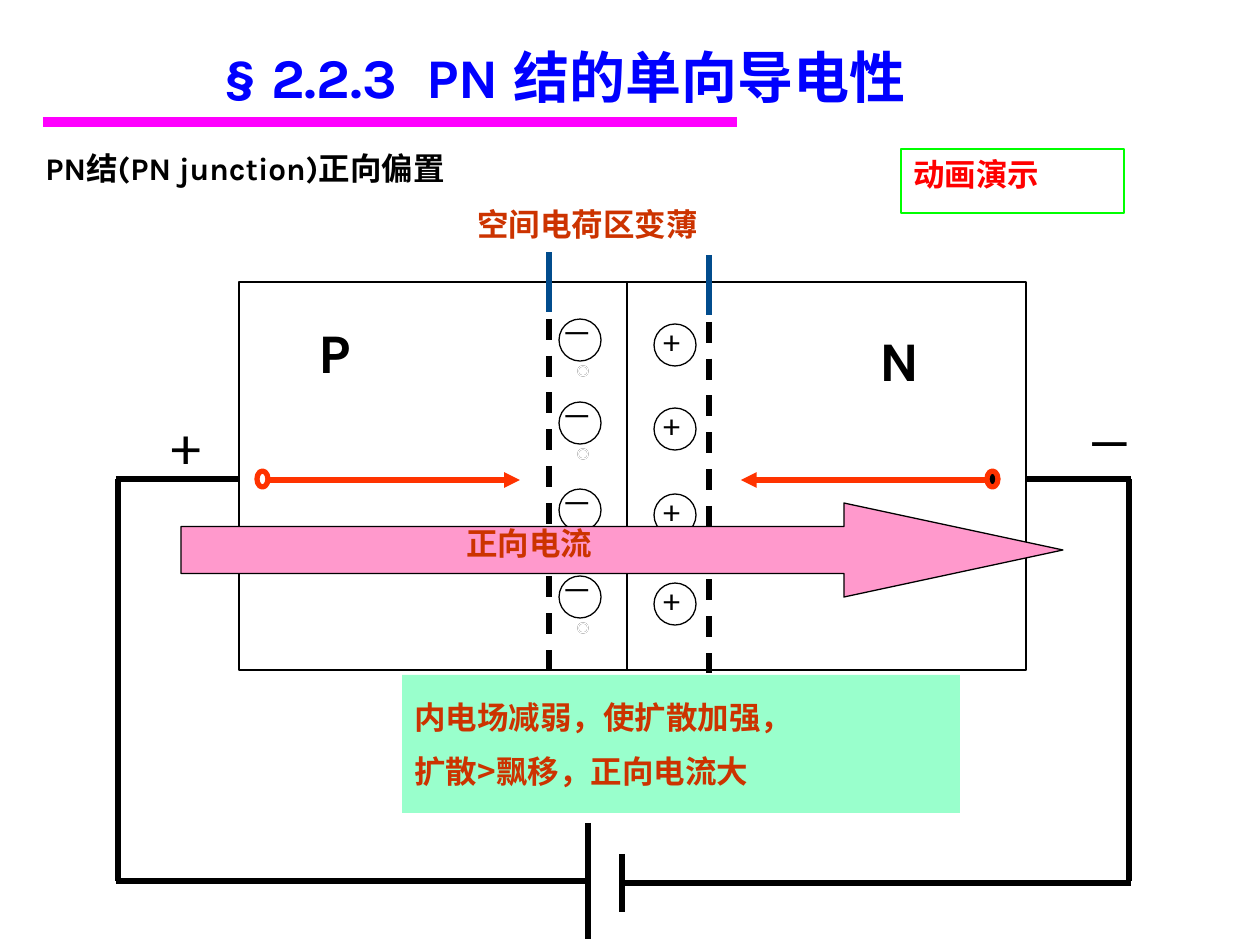
from lxml import etree
from pptx import Presentation
from pptx import util as u
from pptx.dml.color import RGBColor
from pptx.enum import dml, shapes, text
from pptx.oxml.ns import qn

COLORS = {
    "black": "000000", "white": "FFFFFF", "blue": "0000FF",
    "magenta": "FF00FF", "brick": "CC3300", "orange": "FF3300",
    "navy": "014C8D", "mint": "99FFCC", "pink": "FF99CC",
    "green": "00FF00", "red": "FF0000",
}
KARLA, CJK = "Karla", "Noto Sans CJK SC"
SHAPE = shapes.MSO_SHAPE
MIDDLE = text.MSO_ANCHOR.MIDDLE


def px(n):
    return u.Emu(round(n * 914400 / 126))


def rgb(name):
    return RGBColor.from_string(COLORS[name])


class Board:
    def __init__(self, slide):
        self.s = slide

    def shape(self, kind, box, fill=None, line=None, width=0.75):
        sp = self.s.shapes.add_shape(kind, *map(px, box))
        sp.shadow.inherit = False
        if fill:
            sp.fill.solid()
            sp.fill.fore_color.rgb = rgb(fill)
        else:
            sp.fill.background()
        if line:
            sp.line.color.rgb = rgb(line)
            sp.line.width = u.Pt(width)
        else:
            sp.line.fill.background()
        return sp

    def line(self, x1, y1, x2, y2, color="black", width=3, dash=False, arrow=False):
        c = self.s.shapes.add_connector(
            shapes.MSO_CONNECTOR.STRAIGHT, px(x1), px(y1), px(x2), px(y2))
        c.line.color.rgb = rgb(color)
        c.line.width = u.Pt(width)
        if dash:
            c.line.dash_style = dml.MSO_LINE.DASH
        if arrow:
            etree.SubElement(c.line._get_or_add_ln(), qn("a:tailEnd"), type="triangle")
        etree.SubElement(c._element.spPr, qn("a:effectLst"))
        return c

    def fill_text(self, sp, paragraphs, size=18, color="black", bold=True,
                  anchor=text.MSO_ANCHOR.TOP, align=text.PP_ALIGN.LEFT, before=50):
        tf = sp.text_frame
        tf.word_wrap = True
        tf.vertical_anchor = anchor
        for i, runs in enumerate(paragraphs):
            p = tf.add_paragraph() if i else tf.paragraphs[0]
            p.alignment = align
            if before:
                gap = etree.SubElement(p._p.get_or_add_pPr(), qn("a:spcBef"))
                etree.SubElement(gap, qn("a:spcPct"), val=str(before * 1000))
            for words, font in runs:
                r = p.add_run()
                r.text = words
                r.font.name = font
                r.font.size = u.Pt(size)
                r.font.bold = bold
                r.font.color.rgb = rgb(color)
                etree.SubElement(r._r.get_or_add_rPr(), qn("a:ea"), typeface=CJK)

    def label(self, box, runs, **style):
        sp = self.s.shapes.add_textbox(*map(px, box))
        self.fill_text(sp, [runs], **style)


def main():
    prs = Presentation()
    prs.slide_width, prs.slide_height = u.Inches(10), u.Inches(7.5)
    b = Board(prs.slides.add_slide(prs.slide_layouts[6]))

    b.label((29, 0, 1071, 152), [("§ 2.2.3  PN 结的单向导电性", KARLA)], size=32,
            color="blue", anchor=MIDDLE, align=text.PP_ALIGN.CENTER, before=0)
    b.line(43, 122, 737, 122, "magenta", 6)
    b.label((33, 136, 645, 63),
            [("PN", KARLA), ("结", CJK), ("(PN junction)", KARLA), ("正向偏置", CJK)],
            anchor=MIDDLE)

    for left, width in ((239, 388), (627, 399)):
        b.shape(SHAPE.RECTANGLE, (left, 282, width, 388), line="black", width=1.5)

    for top in (319, 402, 489, 576):
        b.shape(SHAPE.OVAL, (559, top, 42, 42), line="black")
        b.label((549, top - 11, 73, 63), [("－", KARLA)], bold=False)
        for color in ("black", "white"):
            b.shape(SHAPE.OVAL, (578, top + 47, 10, 10), line=color)
    for top in (324, 408, 494, 583):
        b.shape(SHAPE.OVAL, (654, top, 42, 42), line="black")
        b.label((651, top - 10, 53, 63), [("+", KARLA)], bold=False)

    for x, top in ((549, 282), (709, 285)):
        b.line(x, top, x, top + 388, dash=True)

    circuit = (
        (116, 479, 239, 479), (118, 479, 118, 881), (116, 881, 588, 881),
        (1027, 479, 1131, 479), (1129, 479, 1129, 881), (622, 883, 1131, 883),
        (588, 823, 588, 939), (622, 854, 622, 912),
    )
    for wire in circuit:
        b.line(*wire)

    note = b.shape(SHAPE.RECTANGLE, (402, 675, 558, 138), fill="mint")
    b.fill_text(note, [[("内电场减弱，使扩散加强，", CJK)], [("扩散>飘移，正向电流大", CJK)]],
                color="brick", anchor=MIDDLE)

    for left, fill, start, end in ((257, None, 268, 520), (987, "black", 987, 741)):
        b.shape(SHAPE.OVAL, (left, 471, 11, 16), fill, "orange", 3)
        b.line(start, 480, end, 480, "orange", arrow=True)

    for x, top in ((549, 252), (709, 255)):
        b.line(x, top, x, top + 60, "navy")
    b.label((465, 192, 334, 63), [("空间电荷区变薄", KARLA)], color="brick", anchor=MIDDLE)

    for box, mark, bold in (
        ((306, 311, 96, 79), "P", True), ((867, 319, 96, 79), "N", True),
        ((159, 402, 103, 79), "+", False), ((1077, 384, 183, 79), "_", False),
    ):
        b.label(box, [(mark, KARLA)], size=32, bold=bold)

    current = b.shape(SHAPE.RIGHT_ARROW, (181, 503, 882, 94), "pink", "black")
    current.adjustments[0], current.adjustments[1] = 0.5, 2.33
    b.label((454, 518, 233, 63), [("正向电流", KARLA)], color="brick")

    demo = b.shape(SHAPE.RECTANGLE, (901, 149, 223, 64), line="green")
    b.fill_text(demo, [[("动画演示", KARLA)]], color="red", before=0)

    prs.save("out.pptx")


if __name__ == "__main__":
    main()
